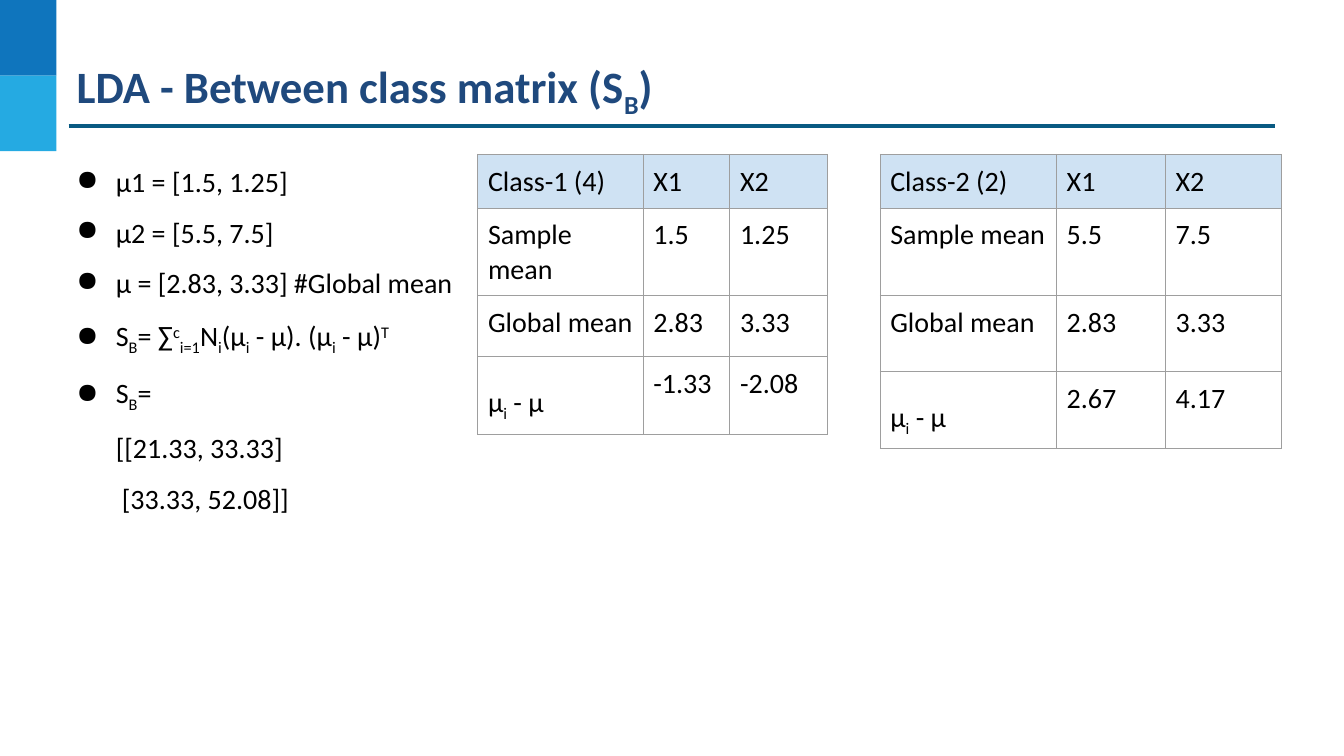
from dataclasses import dataclass

from lxml.etree import SubElement as Sub
from pptx import Presentation
from pptx.dml.color import RGBColor
from pptx.enum.shapes import MSO_CONNECTOR as Link, MSO_SHAPE as Form
from pptx.enum.text import MSO_AUTO_SIZE as Fit
from pptx.oxml.ns import qn
from pptx.util import Inches, Pt

NAVY = RGBColor(0x1F, 0x49, 0x7D)
BLUE = RGBColor(0x0F, 0x75, 0xBD)
SKY = RGBColor(0x25, 0xAA, 0xE2)
TEAL = RGBColor(0x09, 0x5A, 0x82)
PALE = RGBColor(0xCF, 0xE2, 0xF3)
GRAY = RGBColor(0x9E, 0x9E, 0x9E)
BLACK = RGBColor(0, 0, 0)

HEAD = {"name": "Calibri", "size": Pt(32), "bold": True}
BODY = {"name": "Calibri", "size": Pt(20), "bold": False}
SHIFT = {"_": "-25000", "^": "30000"}
SIDES = ("left", "top", "right", "bottom")


@dataclass
class Point:
    text: str
    left: float = 0.5
    dot: bool = True


@dataclass
class Grid:
    left: float
    cols: tuple[float, ...]
    rows: tuple[float, ...]
    cells: list[list[str]]


# "|" parts the runs; a leading "_" lowers a run and "^" raises it
TITLE = "LDA - Between class matrix (S|_B|)"
DIFF = "μ|_i| - μ"
POINTS = [
    Point("μ1 = [1.5, 1.25]"),
    Point("μ2 = [5.5, 7.5]"),
    Point("μ = [2.83, 3.33] #Global mean"),
    Point("S|_B|= ∑|^c|_i=1|N|_i|(μ|_i| - μ). (μ|_i| - μ)|^T"),
    Point("S|_B|="),
    Point("[[21.33, 33.33]", dot=False),
    Point("[33.33, 52.08]]", left=0.56, dot=False),
]
GRIDS = [
    Grid(4.74, (1.64, 0.86, 0.97), (0.44, 0.44, 0.61, 0.44), [
        ["Class-1 (4)", "X1", "X2"],
        ["Sample mean", "1.5", "1.25"],
        ["Global mean", "2.83", "3.33"],
        [DIFF, "-1.33", "-2.08"],
    ]),
    Grid(8.73, (1.75, 1.08, 1.15), (0.53, 0.87, 0.75, 0.65), [
        ["Class-2 (2)", "X1", "X2"],
        ["Sample mean", "5.5", "7.5"],
        ["Global mean", "2.83", "3.33"],
        [DIFF, "2.67", "4.17"],
    ]),
]


def write(para, text: str, style: dict, color: RGBColor) -> None:
    for part in text.split("|"):
        run = para.add_run()
        base = SHIFT.get(part[0])
        run.text = part[1:] if base else part
        for key, value in style.items():
            setattr(run.font, key, value)
        run.font.color.rgb = color
        if base:
            run._r.get_or_add_rPr().set("baseline", base)


def pad(item, inset: float) -> None:
    for side in SIDES:
        setattr(item, f"margin_{side}", Inches(inset))


def add_box(slide, place: tuple[float, ...], inset: float):
    frame = slide.shapes.add_textbox(*map(Inches, place)).text_frame
    frame.word_wrap = True
    frame.auto_size = Fit.SHAPE_TO_FIT_TEXT
    pad(frame, inset)
    return frame


def add_block(slide, top: float, color: RGBColor) -> None:
    block = slide.shapes.add_shape(
        Form.RECTANGLE, 0, Inches(top), Inches(0.56), Inches(0.75))
    block.shadow.inherit = False
    block.fill.solid()
    block.fill.fore_color.rgb = color
    block.line.fill.background()


def add_rule(slide) -> None:
    rule = slide.shapes.add_connector(
        Link.STRAIGHT, *map(Inches, (0.68, 1.25, 12.65, 1.25)))
    rule.line.color.rgb = TEAL
    rule.line.width = Pt(2.25)
    Sub(rule.element.spPr, qn("a:effectLst"))


def add_point(para, point: Point) -> None:
    para.line_spacing = 1.5
    props = para._p.get_or_add_pPr()
    props.set("marL", str(Inches(point.left)))
    props.set("indent", str(Inches(-0.39) if point.dot else 0))
    if point.dot:
        tint = Sub(props, qn("a:buClr"))
        Sub(tint, qn("a:srgbClr"), val=str(BLACK))
        Sub(props, qn("a:buChar"), char="●")
    write(para, point.text, BODY, BLACK)


def edge(cell) -> None:
    props = cell._tc.get_or_add_tcPr()
    for side in "LRTB":
        line = Sub(props, qn(f"a:ln{side}"), w=str(Pt(0.75)))
        fill = Sub(line, qn("a:solidFill"))
        Sub(fill, qn("a:srgbClr"), val=str(GRAY))


def add_grid(slide, grid: Grid) -> None:
    place = (grid.left, 1.53, sum(grid.cols), sum(grid.rows))
    table = slide.shapes.add_table(
        len(grid.rows), len(grid.cols), *map(Inches, place)).table
    table.first_row = table.horz_banding = False
    for col, width in zip(table.columns, grid.cols):
        col.width = Inches(width)
    for row, height in zip(table.rows, grid.rows):
        row.height = Inches(height)
    for r, line in enumerate(grid.cells):
        for c, text in enumerate(line):
            cell = table.cell(r, c)
            pad(cell, 0.1)
            edge(cell)
            if r == 0:
                cell.fill.solid()
                cell.fill.fore_color.rgb = PALE
            else:
                cell.fill.background()
            para = cell.text_frame.paragraphs[0]
            if text == DIFF:
                para.line_spacing = 1.5
            write(para, text, BODY, BLACK)


def main() -> None:
    deck = Presentation()
    deck.slide_width, deck.slide_height = Inches(13.33), Inches(7.5)
    slide = deck.slides.add_slide(deck.slide_layouts[6])

    # Corner blocks and title
    add_block(slide, 0, BLUE)
    add_block(slide, 0.75, SKY)
    add_rule(slide)
    title = add_box(slide, (0.74, 0.56, 11.97, 0.58), 0.02)
    write(title.paragraphs[0], TITLE, HEAD, NAVY)

    # Class tables
    for grid in GRIDS:
        add_grid(slide, grid)

    # Bullet list
    frame = add_box(slide, (0.55, 1.37, 4.35, 4.07), 0.1)
    for i, point in enumerate(POINTS):
        add_point(frame.add_paragraph() if i else frame.paragraphs[0], point)

    deck.save("out.pptx")


if __name__ == "__main__":
    main()
